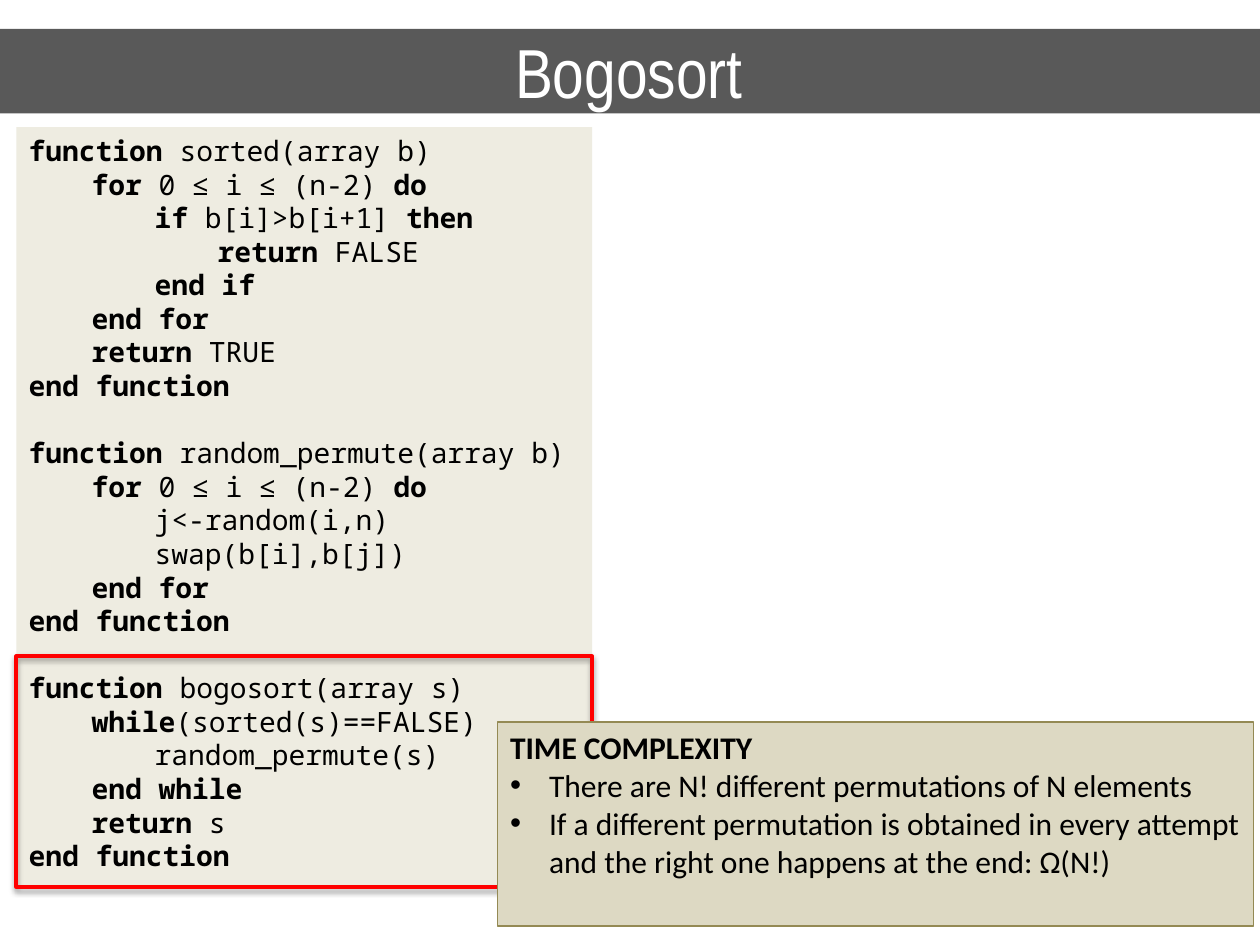
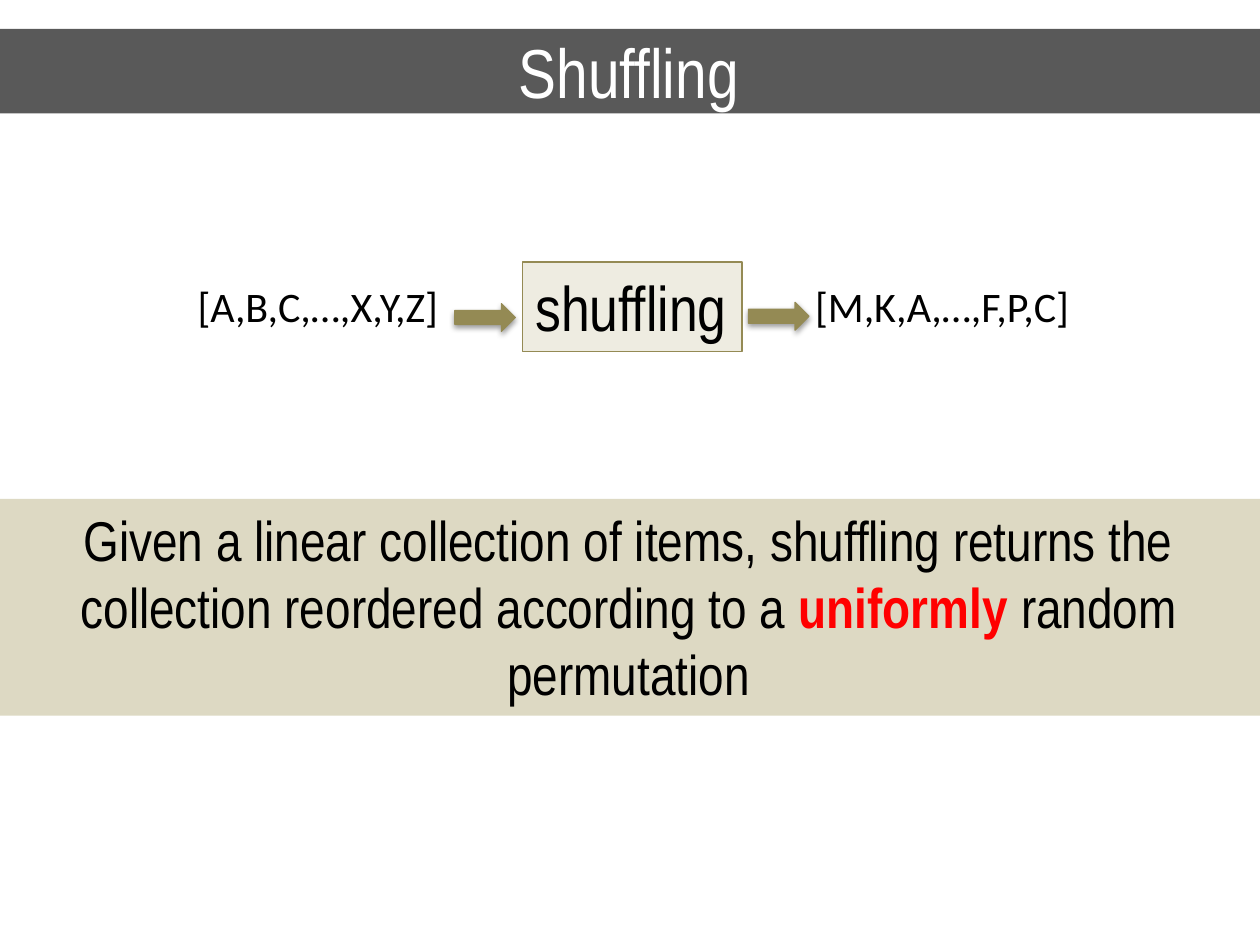
import pptx
import pptx.dml.color
import pptx.enum.shapes
import pptx.enum.text
import pptx.util
from lxml import etree
from pptx.oxml.ns import qn
from pptx.util import Inches, Pt

SHAPES = pptx.enum.shapes.MSO_SHAPE
ALIGN = pptx.enum.text.PP_ALIGN
ANCHOR = pptx.enum.text.MSO_ANCHOR

BLACK, WHITE, RED = "000000", "FFFFFF", "FF0000"
BAND_GRAY, PALE, TAN, OLIVE = "595959", "EEECE1", "DDD9C3", "948A54"
HEADING_FONT, BODY_FONT, CODE_FONT = "Arial Narrow", "Calibri", "Noto Sans Mono"
BAND_LEFT, BAND_WIDTH = -0.02, 10.02
CODE_LINE = 19.2
TAB_STEP = 0.5

# Words between ** marks are bold.
CODE = [
    [
        "**function** sorted(array b)",
        "\t**for** 0 ≤ i ≤ (n-2) **do**",
        "\t\t**if** b[i]>b[i+1] **then**",
        "\t\t\t**return** FALSE",
        "\t\t**end if**",
        "\t**end for**",
        "\t**return** TRUE",
        "**end function**",
    ],
    [
        "**function** random_permute(array b)",
        "\t**for** 0 ≤ i ≤ (n-2) **do**",
        "\t\tj<-random(i,n)",
        "\t\tswap(b[i],b[j])",
        "\t**end for**",
        "**end function**",
    ],
    [
        "**function** bogosort(array s)",
        "\t**while**(sorted(s)==FALSE)",
        "\t\trandom_permute(s)",
        "\t**end while**",
        "\t**return** s",
        "**end function**",
    ],
]


def color(value):
    return pptx.dml.color.RGBColor.from_string(value)


def paint(shape, fill=None, line=None, line_width=0.75):
    if fill:
        shape.fill.solid()
        shape.fill.fore_color.rgb = color(fill)
    else:
        shape.fill.background()
    if line:
        shape.line.color.rgb = color(line)
        shape.line.width = Pt(line_width)
    else:
        shape.line.fill.background()


def add_box(page, kind, left, top, width, height, **style):
    box = page.shapes.add_shape(
        kind, Inches(left), Inches(top), Inches(width), Inches(height))
    box.shadow.inherit = False
    paint(box, **style)
    return box


def add_drop_shadow(shape):
    effects = shape._element.spPr.find(qn("a:effectLst"))
    shadow = etree.SubElement(effects, qn("a:outerShdw"), blurRad="40000",
                              dist="20000", dir="5400000", rotWithShape="0")
    tone = etree.SubElement(shadow, qn("a:srgbClr"), val=BLACK)
    etree.SubElement(tone, qn("a:alpha"), val="38000")


def set_bullet(para):
    properties = para._p.get_or_add_pPr()
    properties.set("marL", str(Inches(0.31)))
    properties.set("indent", str(-Inches(0.31)))
    etree.SubElement(properties, qn("a:buFont"), typeface="Arial")
    etree.SubElement(properties, qn("a:buChar"), char="•")


def set_tabs(para):
    tabs = etree.SubElement(para._p.get_or_add_pPr(), qn("a:tabLst"))
    for step in range(1, 4):
        etree.SubElement(tabs, qn("a:tab"), pos=str(Inches(step * TAB_STEP)), algn="l")


def write(box, lines, font, size, align=ALIGN.LEFT, wrap=True,
          decorate=None, bold_color=BLACK):
    """Fill the box with one paragraph a line; decorate(index, para) runs first."""
    frame = box.text_frame
    frame.word_wrap = wrap
    frame.vertical_anchor = ANCHOR.TOP
    for index, line in enumerate(lines):
        para = frame.add_paragraph() if index else frame.paragraphs[0]
        para.alignment = align
        if decorate:
            decorate(index, para)
        para.font.name = font
        para.font.size = Pt(size)
        para.font.color.rgb = color(BLACK)
        for part, text in enumerate(line.split("**")):
            if text:
                span = para.add_run()
                span.text = text
                # Odd parts lie between a pair of marks.
                span.font.bold = part % 2 == 1
                span.font.color.rgb = color(bold_color if span.font.bold else BLACK)


def add_titled_page(deck, text):
    page = deck.slides.add_slide(deck.slide_layouts[5])
    title = page.shapes.title
    title.left, title.top = Inches(BAND_LEFT), Inches(0.23)
    title.width, title.height = Inches(BAND_WIDTH), Inches(0.67)
    paint(title, fill=BAND_GRAY)
    frame = title.text_frame
    frame.text = text
    frame.auto_size = pptx.enum.text.MSO_AUTO_SIZE.NONE
    frame.vertical_anchor = ANCHOR.MIDDLE
    para = frame.paragraphs[0]
    para.alignment = ALIGN.CENTER
    para.font.name = HEADING_FONT
    para.font.size = Pt(39.6)
    para.font.color.rgb = color(WHITE)
    return page


def add_code(page):
    lines = [line for function in CODE for line in function]
    later_starts = {len(CODE[0]), len(CODE[0]) + len(CODE[1])}

    def lay_out(index, para):
        if index in later_starts:
            para.space_before = Pt(CODE_LINE)
        set_tabs(para)

    listing = add_box(page, SHAPES.RECTANGLE, 0.13, 1.01, 4.57, 6.02, fill=PALE)
    write(listing, lines, CODE_FONT, 16, decorate=lay_out)


def add_list_label(page, left, width, text):
    label = page.shapes.add_textbox(
        Inches(left), Inches(2.18), Inches(width), Inches(0.5))
    write(label, [text], BODY_FONT, 24, wrap=False)


def add_flow_arrow(page, left, top):
    arrow = add_box(page, SHAPES.RIGHT_ARROW, left, top, 0.48, 0.22,
                    fill=OLIVE, line=OLIVE)
    add_drop_shadow(arrow)


def build_bogosort(deck):
    page = add_titled_page(deck, "Bogosort")
    add_code(page)
    highlight = add_box(page, SHAPES.RECTANGLE, 0.13, 5.21, 4.57, 1.83,
                        line=RED, line_width=2.25)
    add_drop_shadow(highlight)
    complexity = add_box(page, SHAPES.RECTANGLE, 3.95, 5.73, 6, 1.62,
                         fill=TAN, line=OLIVE)
    write(complexity, [
        "**TIME COMPLEXITY**",
        "There are N! different permutations of N elements",
        "If a different permutation is obtained in every attempt "
        "and the right one happens at the end: Ω(N!)",
    ], BODY_FONT, 18, decorate=lambda index, para: set_bullet(para) if index else None)


def build_shuffling(deck):
    page = add_titled_page(deck, "Shuffling")
    process = add_box(page, SHAPES.RECTANGLE, 4.15, 2.08, 1.74, 0.71,
                      fill=PALE, line=OLIVE)
    write(process, ["shuffling"], HEADING_FONT, 36, wrap=False)
    add_list_label(page, 1.47, 2.2, "[A,B,C,…,X,Y,Z]")
    add_flow_arrow(page, 3.61, 2.41)
    add_list_label(page, 6.37, 2.31, "[M,K,A,…,F,P,C]")
    add_flow_arrow(page, 5.94, 2.4)
    definition = add_box(page, SHAPES.RECTANGLE, BAND_LEFT, 3.96, BAND_WIDTH, 1.72,
                         fill=TAN)
    write(definition, [
        "Given a linear collection of items, shuffling returns the collection "
        "reordered according to a **uniformly** random permutation",
    ], HEADING_FONT, 32, align=ALIGN.CENTER, bold_color=RED)


def main():
    deck = pptx.Presentation()
    deck.slide_width, deck.slide_height = Inches(10), Inches(7.5)
    build_bogosort(deck)
    build_shuffling(deck)
    deck.save("out.pptx")


if __name__ == "__main__":
    main()
